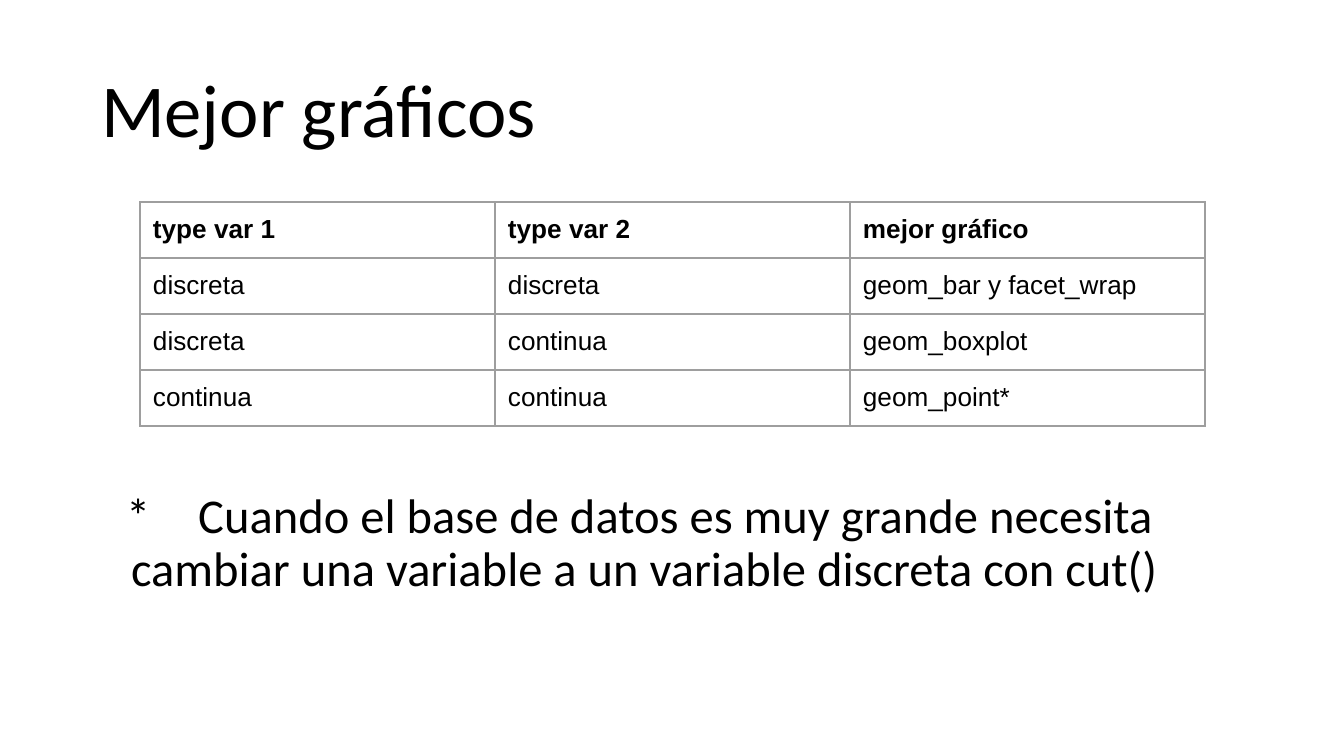
import pptx
import pptx.dml.color
import pptx.enum.text
import pptx.oxml.ns
import pptx.util
from lxml import etree

PX = 914400 / 134.4  # EMU per px
COLORS = {"text": "000000", "border": "9E9E9E"}
ROWS = [
    ["type var 1", "type var 2", "mejor gráfico"],
    ["discreta", "discreta", "geom_bar y facet_wrap"],
    ["discreta", "continua", "geom_boxplot"],
    ["continua", "continua", "geom_point*"],
]
NOTE = ("*\tCuando el base de datos es muy grande necesita "
        "cambiar una variable a un variable discreta con cut()")


def emu(px):
    return pptx.util.Emu(round(px * PX))


def add_xml(parent, tag, **attrs):
    return etree.SubElement(parent, pptx.oxml.ns.qn(tag),
                            {k: str(v) for k, v in attrs.items()})


class Deck:
    heading_font = "Calibri"
    table_font = "Arial"

    def __init__(self, width, height):
        self.prs = pptx.Presentation()
        self.prs.slide_width, self.prs.slide_height = emu(width), emu(height)
        self.slide = self.prs.slides.add_slide(self.prs.slide_layouts[1])

    def style(self, p, font, size, bold=False):
        p.alignment = pptx.enum.text.PP_ALIGN.LEFT
        p.font.name, p.font.size, p.font.bold = font, pptx.util.Pt(size), bold
        p.font.color.rgb = pptx.dml.color.RGBColor.from_string(COLORS["text"])

    def placeholder(self, idx, box, insets, anchor):
        sp = self.slide.placeholders[idx]
        sp.left, sp.top, sp.width, sp.height = map(emu, box)
        tf = sp.text_frame
        tf.word_wrap = True
        tf.auto_size = pptx.enum.text.MSO_AUTO_SIZE.NONE
        tf.vertical_anchor = anchor
        (tf.margin_left, tf.margin_top,
         tf.margin_right, tf.margin_bottom) = map(emu, insets)
        p = tf.paragraphs[0]
        p.line_spacing = 0.9
        p.space_before = pptx.util.Pt(0)
        return p

    def title(self, text, box):
        p = self.placeholder(0, box, (8, 8, 8, 8), pptx.enum.text.MSO_ANCHOR.MIDDLE)
        p.text = text
        self.style(p, self.heading_font, 40)

    def note(self, text, box, insets, hang, tab):
        p = self.placeholder(1, box, insets, pptx.enum.text.MSO_ANCHOR.TOP)
        p.text = text
        # Hanging indent, no bullet, one tab stop after the asterisk
        pPr = p._p.get_or_add_pPr()
        pPr.set("marL", str(emu(hang)))
        pPr.set("indent", str(-emu(hang)))
        add_xml(pPr, "a:buNone")
        add_xml(add_xml(pPr, "a:tabLst"), "a:tab", pos=emu(tab), algn="l")
        self.style(p, self.heading_font, 26)

    def borders(self, cell):
        tcPr = cell._tc.get_or_add_tcPr()
        for side in ("a:lnL", "a:lnR", "a:lnT", "a:lnB"):
            ln = add_xml(tcPr, side, w=pptx.util.Pt(0.75))
            add_xml(add_xml(ln, "a:solidFill"), "a:srgbClr", val=COLORS["border"])

    def table(self, rows, left, top, col_width, row_height, inset):
        n_rows, n_cols = len(rows), len(rows[0])
        table = self.slide.shapes.add_table(
            n_rows, n_cols, emu(left), emu(top),
            emu(col_width * n_cols), emu(row_height * n_rows)).table
        table.first_row = table.horz_banding = False
        for r, texts in enumerate(rows):
            for c, text in enumerate(texts):
                cell = table.cell(r, c)
                cell.margin_left = cell.margin_right = emu(inset)
                cell.margin_top = cell.margin_bottom = emu(inset)
                self.borders(cell)
                cell.fill.background()
                p = cell.text_frame.paragraphs[0]
                p.text = text
                self.style(p, self.table_font, 14, bold=r == 0)


def main():
    deck = Deck(1344, 756)
    # Title
    deck.title("Mejor gráficos", (93, 40, 1158, 146))
    # Footnote, pushed below the table by its top inset
    deck.note(NOTE, (93, 202, 1158, 480), insets=(33, 290, 8, 8), hang=5, tab=44)
    # Chart choice by variable types
    deck.table(ROWS, 140, 202, col_width=355, row_height=56, inset=13)
    deck.prs.save("out.pptx")


if __name__ == "__main__":
    main()
